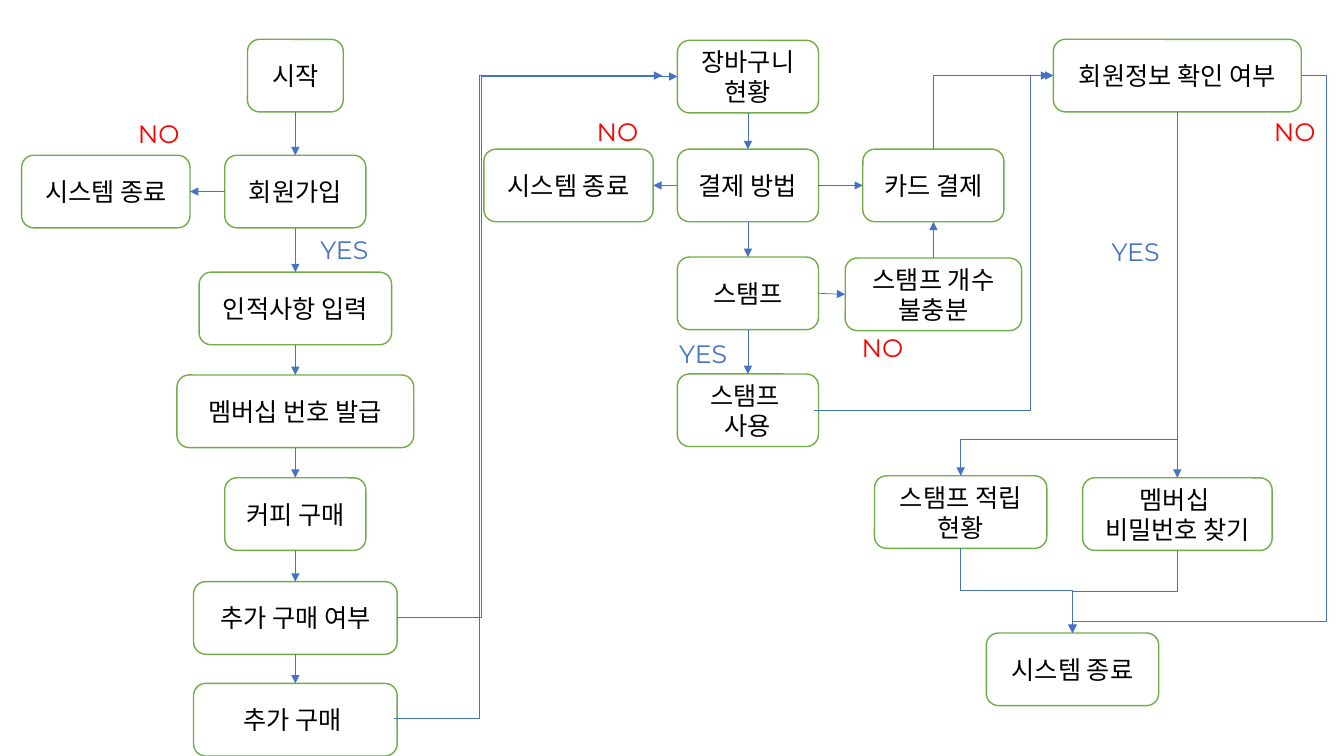
import dataclasses
import lxml.etree
import pptx
import pptx.dml.color
import pptx.enum.shapes
import pptx.enum.text
import pptx.oxml
import pptx.oxml.ns
import pptx.util


@dataclasses.dataclass(frozen=True)
class Theme:
    ink: str = "000000"
    paper: str = "FFFFFF"
    edge: str = "70AD47"
    blue: str = "4472C4"
    red: str = "FF0000"
    hangul: str = "Noto Sans CJK KR"
    latin: str = "Montserrat"
    size: float = 18
    rim: float = 1
    wire: float = 0.5


THEME = Theme()
COLS, ROWS = 133.33, 75
HIGH = 7.2
TOP, LEFT, FOOT, RIGHT = range(4)

NODES = {
    "start": (29.3, 3.9, 9.5, "시작"),
    "join": (29.3, 15.4, 14, "회원가입"),
    "quit": (10.5, 15.4, 16.7, "시스템 종료"),
    "person": (29.3, 27, 19.1, "인적사항 입력"),
    "number": (29.3, 37.2, 23.5, "멤버십 번호 발급"),
    "coffee": (29.3, 47.4, 14, "커피 구매"),
    "ask": (29.3, 57.7, 20.2, "추가 구매 여부"),
    "more": (29.3, 67.8, 20.2, "추가 구매 "),
    "cart": (74.2, 4, 14, "장바구니 현황"),
    "pay": (74.2, 14.8, 14, "결제 방법"),
    "stamp": (74.2, 25.5, 14, "스탬프"),
    "use": (74.2, 37.1, 14, "스탬프 \n사용"),
    "cancel": (56.4, 14.8, 16.8, "시스템 종료"),
    "card": (92.6, 14.8, 14, "카드 결제"),
    "short": (92.6, 25.6, 17.5, "스탬프 개수 불충분"),
    "member": (116.8, 3.9, 24.6, "회원정보 확인 여부"),
    "saved": (95.3, 47.2, 17.1, "스탬프 적립 현황"),
    "find": (116.8, 47.4, 18.8, "멤버십 \v비밀번호 찾기"),
    "end": (106.4, 62.8, 17.1, "시스템 종료"),
}

CHAINS = [
    (("start", "join", "person", "number", "coffee", "ask", "more"), FOOT, TOP),
    (("cart", "pay", "stamp", "use"), FOOT, TOP),
    (("member", "find"), FOOT, TOP),
    (("short", "card"), TOP, FOOT),
    (("join", "quit"), LEFT, RIGHT),
    (("pay", "cancel"), LEFT, RIGHT),
    (("pay", "card"), RIGHT, LEFT),
    (("stamp", "short"), RIGHT, LEFT),
]

BENDS = [
    ((39.4, 61.3), (67.2, 7.6), 3, (0.3,), False),
    ((39.1, 71.3), (65.7, 7.5), 3, (0.32,), False),
    ((80.8, 40.7), (104.1, 7.5), 3, (0.92,), False),
    ((92.6, 14.8), (104.5, 7.5), 2, (), True),
    ((116.8, 11.1), (95.3, 47.2), 3, (0.9,), True),
    ((129.1, 7.5), (106.4, 62.8), 4, (-0.11, 0.98), False),
    ((95.3, 54.4), (106.4, 62.8), 3, (0.5,), True),
    ((116.8, 54.6), (106.4, 62.8), 3, (0.5,), True),
]

MARKS = {
    ("NO", THEME.red, 7.1): [(12.7, 11.2), (58.2, 11.1), (125.4, 11.1), (84.5, 32.5)],
    ("YES", THEME.blue, 8.4): [(30.8, 22.8), (66.4, 33.1), (109.3, 23)],
}


def cells(*counts):
    return [pptx.util.Inches(count / 10) for count in counts]


def tint(code):
    return pptx.dml.color.RGBColor.from_string(code)


def child(node, tag, **attrs):
    return lxml.etree.SubElement(node, pptx.oxml.ns.qn(tag), attrs)


def add_run(para, text, face, code):
    run = para.add_run()
    run.text = text
    run.font.size = pptx.util.Pt(THEME.size)
    run.font.color.rgb = tint(code)
    run.font.name = face
    child(run.font._element, "a:ea", typeface=face)


def add_node(slide, mid, top, wide, text):
    kind = pptx.enum.shapes.MSO_SHAPE.ROUNDED_RECTANGLE
    box = slide.shapes.add_shape(kind, *cells(mid - wide / 2, top, wide, HIGH))
    box.shadow.inherit = False
    box.fill.solid()
    box.fill.fore_color.rgb = tint(THEME.paper)
    box.line.color.rgb = tint(THEME.edge)
    box.line.width = pptx.util.Pt(THEME.rim)
    frame = box.text_frame
    frame.word_wrap = True
    frame.vertical_anchor = pptx.enum.text.MSO_ANCHOR.MIDDLE
    for row, part in enumerate(text.split("\n")):
        para = frame.add_paragraph() if row else frame.paragraphs[0]
        para.alignment = pptx.enum.text.PP_ALIGN.CENTER
        for turn, piece in enumerate(part.split("\v")):
            if turn:
                para.add_line_break()
            add_run(para, piece, THEME.hangul, THEME.ink)
    return box


def add_wire(slide, kind, start, end):
    wire = slide.shapes.add_connector(kind, *cells(*start, *end))
    wire.line.color.rgb = tint(THEME.blue)
    wire.line.width = pptx.util.Pt(THEME.wire)
    child(wire.line._get_or_add_ln(), "a:tailEnd", type="triangle")
    child(wire._element.spPr, "a:effectLst")
    return wire


def add_link(slide, tail, tail_side, head, head_side):
    wire = add_wire(slide, pptx.enum.shapes.MSO_CONNECTOR.STRAIGHT, (0, 0), (1, 1))
    wire.begin_connect(tail, tail_side)
    wire.end_connect(head, head_side)


def add_bend(slide, start, end, legs, shares, down):
    if down:
        mid_x, mid_y = [(a + b) / 2 for a, b in zip(start, end)]
        half_x, half_y = [(b - a) / 2 for a, b in zip(start, end)]
        start = mid_x - half_y, mid_y + half_x
        end = mid_x + half_y, mid_y - half_x
    wire = add_wire(slide, pptx.enum.shapes.MSO_CONNECTOR.ELBOW, start, end)
    props = wire._element.spPr
    if down:
        props.find(pptx.oxml.ns.qn("a:xfrm")).set("rot", str(90 * 60000))
    shape = props.find(pptx.oxml.ns.qn("a:prstGeom"))
    shape.set("prst", f"bentConnector{legs}")
    guides = shape.find(pptx.oxml.ns.qn("a:avLst"))
    for rank, share in enumerate(shares, 1):
        child(guides, "a:gd", name=f"adj{rank}", fmla=f"val {round(share * 100000)}")


def add_mark(slide, text, code, left, top, wide):
    box = slide.shapes.add_textbox(*cells(left, top, wide, 4))
    box.text_frame.word_wrap = True
    add_run(box.text_frame.paragraphs[0], text, THEME.latin, code)


def main():
    deck = pptx.Presentation()
    deck.slide_width, deck.slide_height = cells(COLS, ROWS)
    slide = deck.slides.add_slide(deck.slide_layouts[6])
    boxes = {name: add_node(slide, *node) for name, node in NODES.items()}
    for names, leave, enter in CHAINS:
        for tail, head in zip(names, names[1:]):
            add_link(slide, boxes[tail], leave, boxes[head], enter)
    for bend in BENDS:
        add_bend(slide, *bend)
    for (text, code, wide), spots in MARKS.items():
        for left, top in spots:
            add_mark(slide, text, code, left, top, wide)
    deck.save("out.pptx")


if __name__ == "__main__":
    main()
